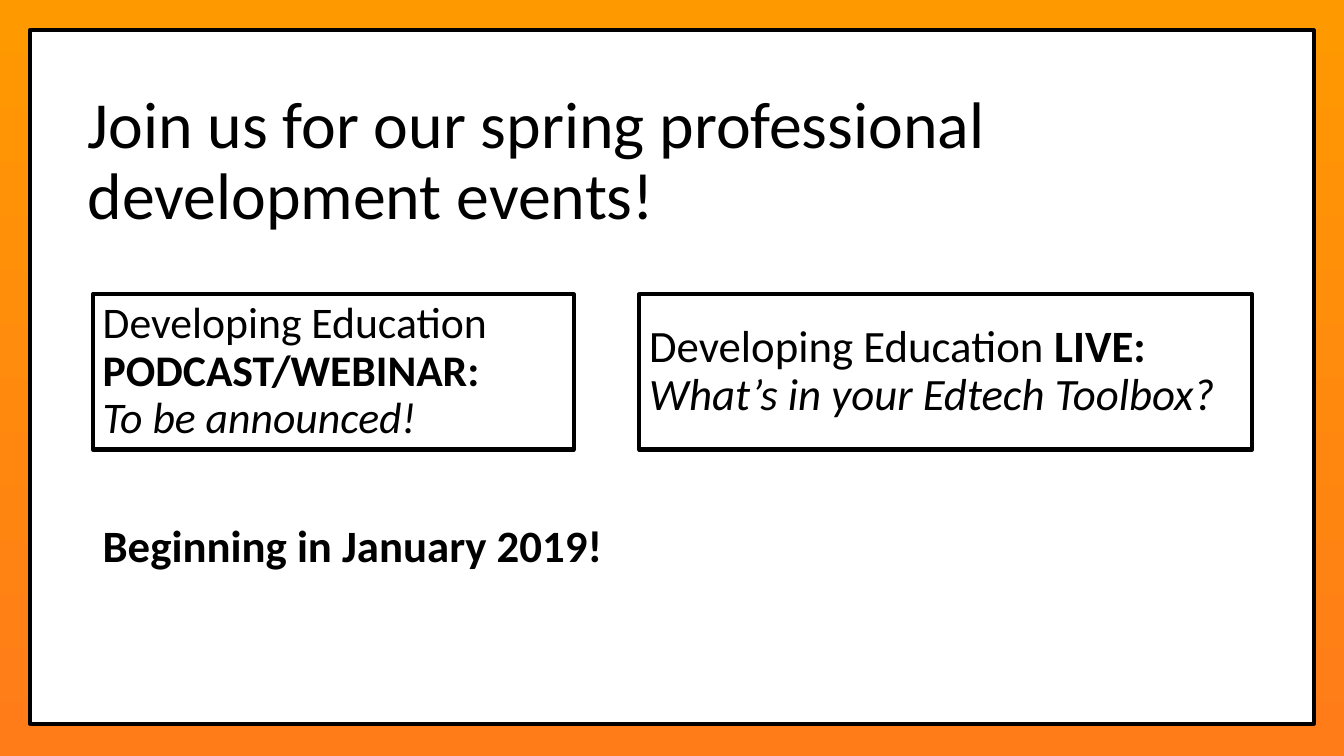
from pptx import Presentation
from pptx.dml.color import RGBColor
from pptx.enum.shapes import MSO_SHAPE as SHAPE
from pptx.enum.text import MSO_ANCHOR as ANCHOR, PP_ALIGN as ALIGN
from pptx.util import Inches, Pt

WIDTH, HEIGHT = 13.33, 7.5
FRAME = 0.3
LEFT, BOX_TOP, BOX_HEIGHT = 0.92, 2.92, 1.54
BLACK, WHITE = "000000", "FFFFFF"


def rgb(value):
    return RGBColor.from_string(value)


def write(sp, lines, size, anchor):
    """Fill a shape with lines, each a list of (text, style) pairs."""
    tf = sp.text_frame
    tf.word_wrap = True
    tf.vertical_anchor = anchor
    for i, line in enumerate(lines):
        p = tf.add_paragraph() if i else tf.paragraphs[0]
        p.alignment = ALIGN.LEFT
        p.line_spacing = 0.9
        for text, style in line:
            r = p.add_run()
            r.text = text
            r.font.name = "Calibri"
            r.font.size = Pt(size)
            r.font.color.rgb = rgb(BLACK)
            r.font.bold = style == "bold"
            r.font.italic = style == "italic"


def outlined_box(s, box, fill=None):
    sp = s.shapes.add_shape(SHAPE.RECTANGLE, *map(Inches, box))
    sp.shadow.inherit = False
    if fill:
        sp.fill.solid()
        sp.fill.fore_color.rgb = rgb(fill)
    else:
        sp.fill.background()
    sp.line.color.rgb = rgb(BLACK)
    sp.line.width = Pt(3)
    return sp


def text_box(s, box, text, size, style="plain", anchor=ANCHOR.TOP):
    sp = s.shapes.add_textbox(*map(Inches, box))
    write(sp, [[(text, style)]], size, anchor)


def event_box(s, box, kind, topic, size):
    lines = [[("Developing Education ", "plain"), (kind, "bold")],
             [(topic, "italic")]]
    write(outlined_box(s, box), lines, size, ANCHOR.MIDDLE)


def backdrop(s):
    fill = s.background.fill
    fill.gradient()
    fill.gradient_angle = 270
    for stop, color, position in zip(fill.gradient_stops,
                                     ("FF9900", "FF7C19"), (0, 1)):
        stop.color.rgb = rgb(color)
        stop.position = position
    outlined_box(s, (FRAME, FRAME, WIDTH - 2 * FRAME, 6.88), WHITE)


def main():
    prs = Presentation()
    prs.slide_width, prs.slide_height = Inches(WIDTH), Inches(HEIGHT)
    s = prs.slides.add_slide(prs.slide_layouts[6])
    backdrop(s)
    text_box(s, (0.77, 0.74, 11.5, 1.75),
             "Join us for our spring professional development events!",
             47, anchor=ANCHOR.MIDDLE)
    text_box(s, (LEFT, 5.15, 11.5, 0.69), "Beginning in January 2019!",
             32, "bold")
    event_box(s, (LEFT, BOX_TOP, 4.77, BOX_HEIGHT),
              "PODCAST/WEBINAR:", "To be announced!", 31.2)
    event_box(s, (6.34, BOX_TOP, 6.08, BOX_HEIGHT),
              "LIVE:", "What’s in your Edtech Toolbox?", 32)
    prs.save("out.pptx")


if __name__ == "__main__":
    main()
